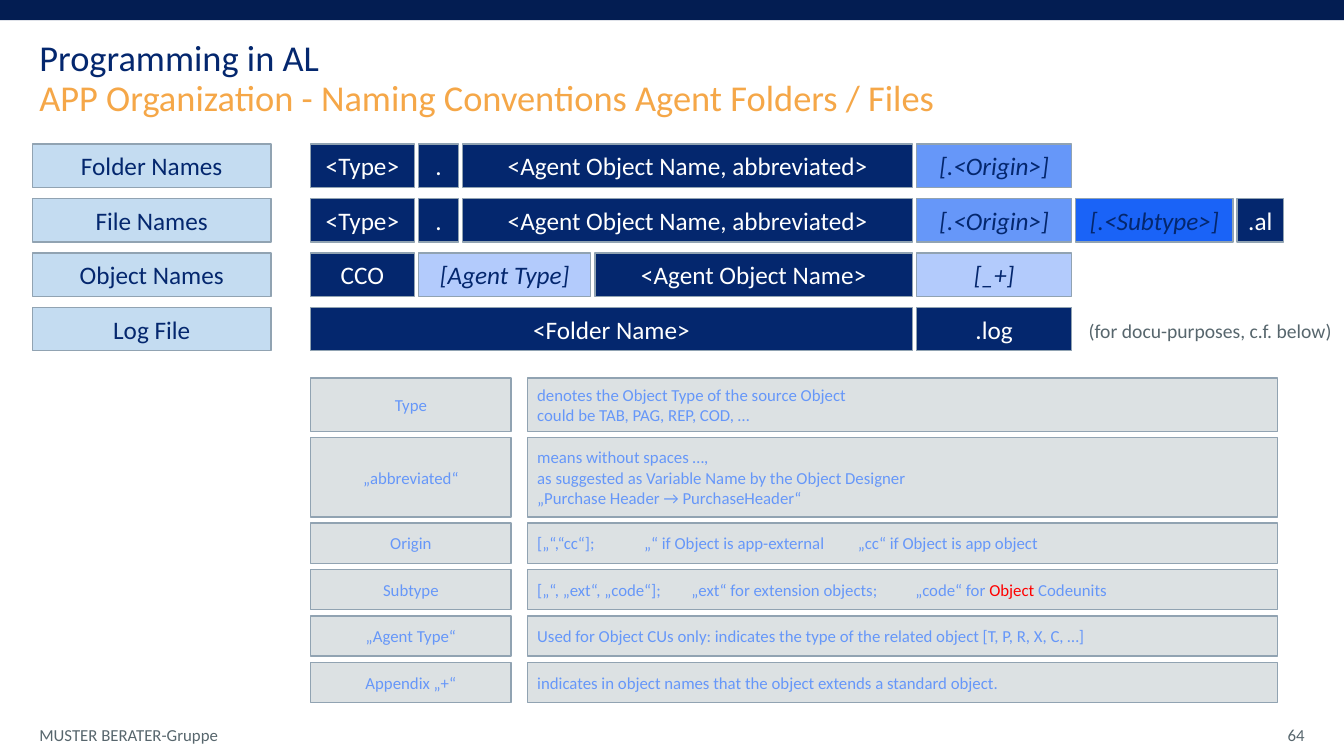
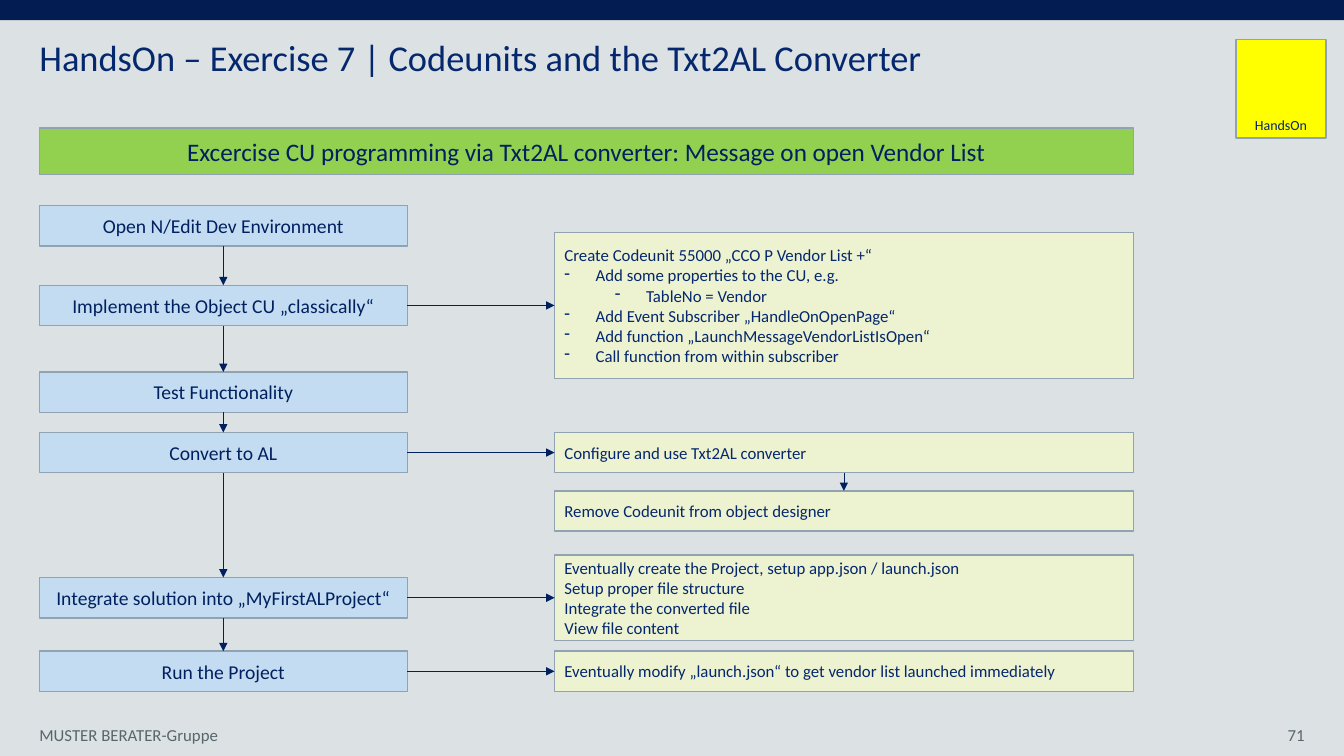
from itertools import pairwise

from lxml import etree
from pptx import Presentation
from pptx import util as u
from pptx.dml.color import RGBColor
from pptx.enum import shapes, text
from pptx.oxml.ns import qn

W, H = 13.33, 7.5
MARGIN = 0.39
FONT = "Calibri"
BAND, NAVY, INK, ORANGE, GREY = "031D52", "04276E", "002060", "F5A748", "57666D"
WHITE, EDGE, PALE, SKY, LILAC = "FFFFFF", "91A3B2", "DCE1E3", "C4DCF1", "B3CBFC"
BLUE, BRIGHT, GREEN, LIME, YELLOW, RED = "6697F9", "1A63F7", "92D050", "EDF2D0", "FFFF00", "FF0000"

LEFT, CENTER, RIGHT = text.PP_ALIGN.LEFT, text.PP_ALIGN.CENTER, text.PP_ALIGN.RIGHT
TOP, MIDDLE, BOTTOM = text.MSO_ANCHOR.TOP, text.MSO_ANCHOR.MIDDLE, text.MSO_ANCHOR.BOTTOM

COLS = (3.08, 4.15, 4.59, 5.9, 9.09, 10.67, 12.27, 12.77)
COL_GAP = 0.04
ROW_TOP, ROW_STEP, ROW_H = 1.43, 0.54, 0.43
TERM_X, TERM_W, MEANING_X, MEANING_W = COLS[0], 1.99, 5.23, 7.44
TERM_TOP, TERM_GAP = 3.75, 0.06
STEP_W, STEP_H, DETAIL_X, DETAIL_W = 3.65, 0.4, 5.5, 5.74


def rgb(value):
    return RGBColor.from_string(value)


def inches(*values):
    return [u.Inches(v) for v in values]


def style(tf, size, color, align, anchor, italic=False):
    tf.word_wrap = True
    tf.vertical_anchor = anchor
    for p in tf.paragraphs:
        p.alignment = align
        for r in p.runs:
            r.font.name, r.font.size, r.font.italic = FONT, u.Pt(size), italic
            r.font.color.rgb = rgb(color)


def box(s, at, words, fill, size, color, align=CENTER, anchor=MIDDLE, italic=False):
    sp = s.shapes.add_shape(shapes.MSO_SHAPE.RECTANGLE, *inches(*at))
    sp.shadow.inherit = False
    sp.fill.solid()
    sp.fill.fore_color.rgb = rgb(fill)
    sp.line.color.rgb = rgb(EDGE)
    sp.line.width = u.Pt(1)
    sp.text_frame.text = words
    style(sp.text_frame, size, color, align, anchor, italic)
    return sp


def label(s, at, words, size, color, align=LEFT, anchor=MIDDLE, inset=0.0):
    tf = s.shapes.add_textbox(*inches(*at)).text_frame
    tf.margin_left = tf.margin_right = u.Inches(inset)
    tf.margin_top = tf.margin_bottom = u.Inches(inset / 2)
    tf.text = words
    style(tf, size, color, align, anchor)
    return tf


def arrow(s, start, start_side, end, end_side):
    line = s.shapes.add_connector(shapes.MSO_CONNECTOR.STRAIGHT, 0, 0, 0, 0)
    line.begin_connect(start, start_side)
    line.end_connect(end, end_side)
    line.line.color.rgb = rgb(INK)
    line.line.width = u.Pt(0.5)
    etree.SubElement(line.line._get_or_add_ln(), qn("a:tailEnd"), type="triangle")
    etree.SubElement(line._element.spPr, qn("a:effectLst"))


def add_tabs(p, stops):
    tabs = etree.SubElement(p._p.get_or_add_pPr(), qn("a:tabLst"))
    for stop in stops:
        etree.SubElement(tabs, qn("a:tab"), pos=str(u.Inches(stop)), algn="l")


def add_dash(p, level):
    p.level = level
    pPr = p._p.get_or_add_pPr()
    pPr.set("marL", str(u.Inches(0.31 + 0.5 * level)))
    pPr.set("indent", str(-u.Inches(0.31)))
    etree.SubElement(pPr, qn("a:buChar"), char="-")


def new_slide(prs, title, number, background):
    s = prs.slides.add_slide(prs.slide_layouts[6])
    s.background.fill.solid()
    s.background.fill.fore_color.rgb = rgb(background)
    band = s.shapes.add_shape(shapes.MSO_SHAPE.RECTANGLE, *inches(0, 0, W, 0.2))
    band.shadow.inherit = False
    band.fill.solid()
    band.fill.fore_color.rgb = rgb(BAND)
    band.line.fill.background()
    p = label(s, (MARGIN, 0.4, W - 2 * MARGIN, 0.79), title, 26, NAVY, anchor=TOP).paragraphs[0]
    p.line_spacing = 0.9
    for r in p.runs[1:]:
        r.font.color.rgb = rgb(ORANGE)
    label(s, (MARGIN, 7.09, 3, 0.4), "MUSTER BERATER-Gruppe", 12, GREY)
    label(s, (W - MARGIN - 2.76, 7.09, 2.76, 0.4), number, 12, GREY, RIGHT)
    return s


def name_row(s, row, heading, cells):
    y = ROW_TOP + row * ROW_STEP
    box(s, (0.32, y, 2.37, ROW_H), heading, SKY, 18, NAVY)
    for first, end, words, fill in cells:
        optional = fill != NAVY
        box(s, (COLS[first], y, COLS[end] - COLS[first] - COL_GAP, ROW_H), words, fill, 18,
            NAVY if optional else WHITE, italic=optional)


def naming_slide(prs):
    s = new_slide(prs, "Programming in AL\vAPP Organization - Naming Conventions Agent Folders / Files",
                  "64", WHITE)
    folder = [(0, 1, "<Type>", NAVY), (1, 2, ".", NAVY),
              (2, 4, "<Agent Object Name, abbreviated>", NAVY), (4, 5, "[.<Origin>]", BLUE)]
    rows = [
        ("Folder Names", folder),
        ("File Names", folder + [(5, 6, "[.<Subtype>]", BRIGHT), (6, 7, ".al", NAVY)]),
        ("Object Names", [(0, 1, "CCO", NAVY), (1, 3, "[Agent Type]", LILAC),
                          (3, 4, "<Agent Object Name>", NAVY), (4, 5, "[_+]", LILAC)]),
        ("Log File", [(0, 4, "<Folder Name>", NAVY), (4, 5, ".log", NAVY)]),
    ]
    for i, (heading, cells) in enumerate(rows):
        name_row(s, i, heading, cells)
    label(s, (10.7, 3.11, 2.63, 0.34), "(for docu-purposes, c.f. below)", 14, GREY,
          inset=0.1).word_wrap = False

    terms = [
        ("Type", 0.53, "denotes the Object Type of the source Object\ncould be TAB, PAG, REP, COD, …", ()),
        ("„abbreviated“", 0.79, "means without spaces …,\n"
         "as suggested as Variable Name by the Object Designer\n„Purchase Header → PurchaseHeader“", ()),
        ("Origin", 0.4, "[„“,“cc“];\t„“ if Object is app-external\t„cc“ if Object is app object", (1.06, 3.18)),
        ("Subtype", 0.4, "[„“, „ext“, „code“];\t„ext“ for extension objects;\t„code“ for ", (1.53, 3.75)),
        ("„Agent Type“", 0.4,
         "Used for Object CUs only: indicates the type of the related object [T, P, R, X, C, …]", ()),
        ("Appendix „+“", 0.4, "indicates in object names that the object extends a standard object.", ()),
    ]
    y = TERM_TOP
    for term, height, meaning, stops in terms:
        box(s, (TERM_X, y, TERM_W, height), term, PALE, 12, BLUE)
        tf = box(s, (MEANING_X, y, MEANING_W, height), meaning, PALE, 12, BLUE, LEFT).text_frame
        p = tf.paragraphs[0]
        if stops:
            add_tabs(p, stops)
        if term == "Subtype":
            for words in ("Object", " Codeunits"):
                p.add_run().text = words
            style(tf, 12, BLUE, LEFT, MIDDLE)
            p.runs[1].font.color.rgb = rgb(RED)
        y += height + TERM_GAP


def detail(s, y, height, words):
    return box(s, (DETAIL_X, y, DETAIL_W, height), words, LIME, 12, NAVY, LEFT)


def exercise_slide(prs):
    s = new_slide(prs, "HandsOn – Exercise 7 | Codeunits and the Txt2AL Converter", "71", PALE)
    box(s, (12.26, 0.39, 0.89, 0.98), "HandsOn", YELLOW, 10, NAVY, anchor=BOTTOM)
    box(s, (MARGIN, 1.27, DETAIL_X + DETAIL_W - MARGIN, 0.46),
        "Excercise CU programming via Txt2AL converter: Message on open Vendor List", GREEN, 18, INK)

    flow = [
        (2.04, "Open N/Edit Dev Environment", 0, ""),
        (2.83, "Implement the Object CU „classically“", 1.45,
         "Create Codeunit 55000 „CCO P Vendor List +“\nAdd some properties to the CU, e.g.\n"
         "TableNo = Vendor\nAdd Event Subscriber „HandleOnOpenPage“\n"
         "Add function „LaunchMessageVendorListIsOpen“\nCall function from within subscriber"),
        (3.69, "Test Functionality", 0, ""),
        (4.29, "Convert to AL", STEP_H, "Configure and use Txt2AL converter"),
        (5.73, "Integrate solution into „MyFirstALProject“", 0.85,
         "Eventually create the Project, setup app.json / launch.json\n"
         "Setup proper file structure\nIntegrate the converted file\nView file content"),
        (6.46, "Run the Project", STEP_H,
         "Eventually modify „launch.json“ to get vendor list launched immediately"),
    ]
    steps, details = [], {}
    for y, words, height, note in flow:
        step = box(s, (MARGIN, y, STEP_W, STEP_H), words, SKY, 14, INK)
        steps.append(step)
        if note:
            details[words] = detail(s, y + (STEP_H - height) / 2, height, note)
            arrow(s, step, 3, details[words], 1)
    for upper, lower in pairwise(steps):
        arrow(s, upper, 2, lower, 0)

    tasks = details["Implement the Object CU „classically“"].text_frame.paragraphs[1:]
    for p, level in zip(tasks, (0, 1, 0, 0, 0)):
        add_dash(p, level)
    arrow(s, details["Convert to AL"], 2,
          detail(s, 4.87, STEP_H, "Remove Codeunit from object designer"), 0)


def main():
    prs = Presentation()
    prs.slide_width, prs.slide_height = inches(W, H)
    naming_slide(prs)
    exercise_slide(prs)
    prs.save("out.pptx")


if __name__ == "__main__":
    main()
